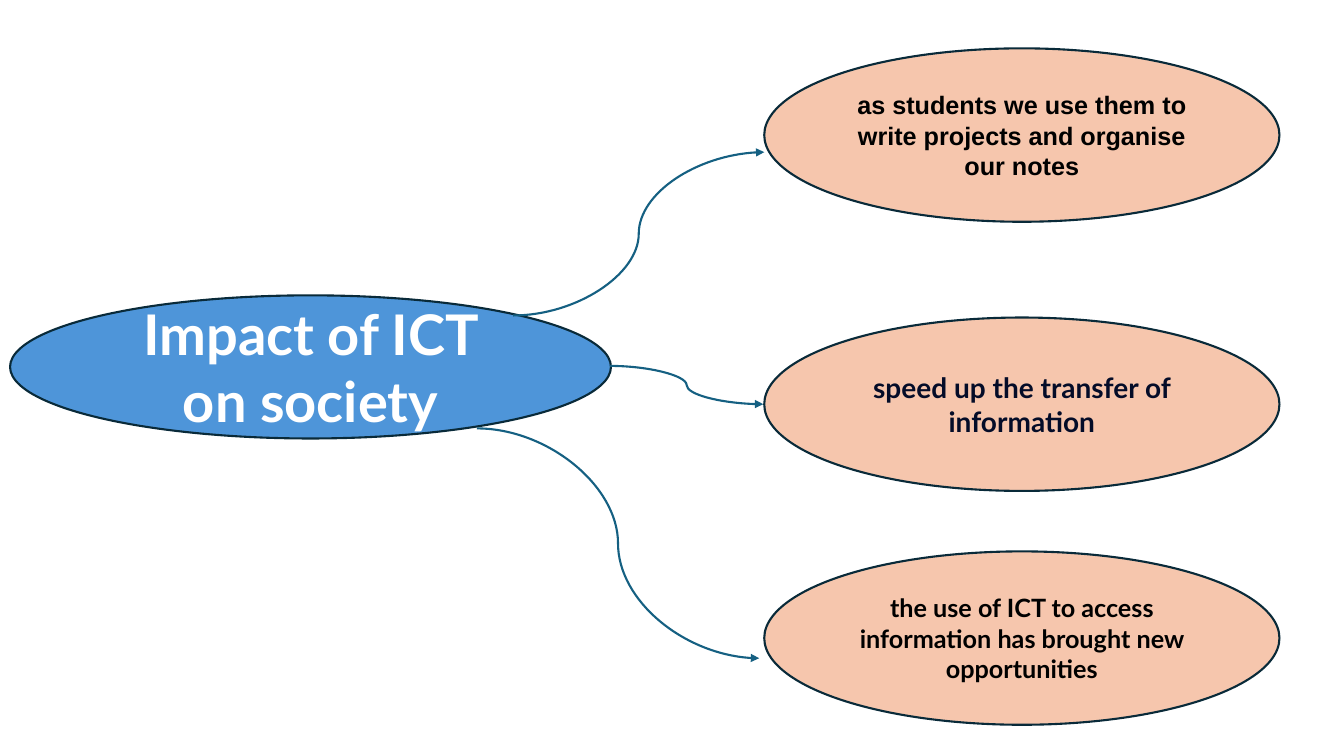
from lxml import etree
from pptx import Presentation
from pptx import util as u
from pptx.dml.color import RGBColor
from pptx.enum import shapes, text
from pptx.oxml.ns import qn

PX = 9144
BLUE = RGBColor(0x4E, 0x95, 0xD9)
PEACH = RGBColor(0xF6, 0xC6, 0xAD)
OUTLINE = RGBColor(0x09, 0x2A, 0x39)
TEAL = RGBColor(0x15, 0x60, 0x82)
WHITE = RGBColor(0xFF, 0xFF, 0xFF)
BLACK = RGBColor(0x00, 0x00, 0x00)
NAVY = RGBColor(0x04, 0x0C, 0x28)


class MindMap:
    line_width = u.Pt(1.5)

    def __init__(self, slide):
        self.slide = slide

    def bubble(self, box, fill, wording, size, color, font="Lato"):
        shape = self.slide.shapes.add_shape(
            shapes.MSO_SHAPE.OVAL, *(value * PX for value in box))
        shape.shadow.inherit = False
        shape.fill.solid()
        shape.fill.fore_color.rgb = fill
        shape.line.color.rgb = OUTLINE
        shape.line.width = self.line_width
        frame = shape.text_frame
        frame.word_wrap = True
        frame.vertical_anchor = text.MSO_ANCHOR.MIDDLE
        paragraph = frame.paragraphs[0]
        paragraph.text = wording
        paragraph.alignment = text.PP_ALIGN.CENTER
        paragraph.font.name = font
        paragraph.font.size = u.Pt(size)
        paragraph.font.bold = True
        paragraph.font.color.rgb = color

    def arrow(self, start, end):
        connector = self.slide.shapes.add_connector(
            shapes.MSO_CONNECTOR.CURVE, *(value * PX for value in start + end))
        connector.line.color.rgb = TEAL
        connector.line.width = self.line_width
        properties = connector._element.spPr
        line = properties.find(qn("a:ln"))
        etree.SubElement(line, qn("a:tailEnd"), type="triangle")
        etree.SubElement(properties, qn("a:effectLst"))


def main():
    presentation = Presentation()
    presentation.slide_width = 1333 * PX
    presentation.slide_height = 750 * PX
    mind_map = MindMap(presentation.slides.add_slide(presentation.slide_layouts[6]))

    mind_map.bubble((10, 293, 596, 142), BLUE, "Impact of ICT on society", 40, WHITE)
    impacts = [
        (48, "as students we use them to write projects and organise our notes",
         18, BLACK, "Arial"),
        (315, "speed up the transfer of information", 20, NAVY, "Lato"),
        (547, "the use of ICT to access information has brought new opportunities",
         18, BLACK, "Lato"),
    ]
    for top, wording, size, color, font in impacts:
        mind_map.bubble((758, top, 511, 172), PEACH, wording, size, color, font)

    for start, end in [((509, 313), (758, 151)),
                       ((473, 425), (753, 653)),
                       ((605, 363), (757, 401))]:
        mind_map.arrow(start, end)

    presentation.save("out.pptx")


if __name__ == "__main__":
    main()
